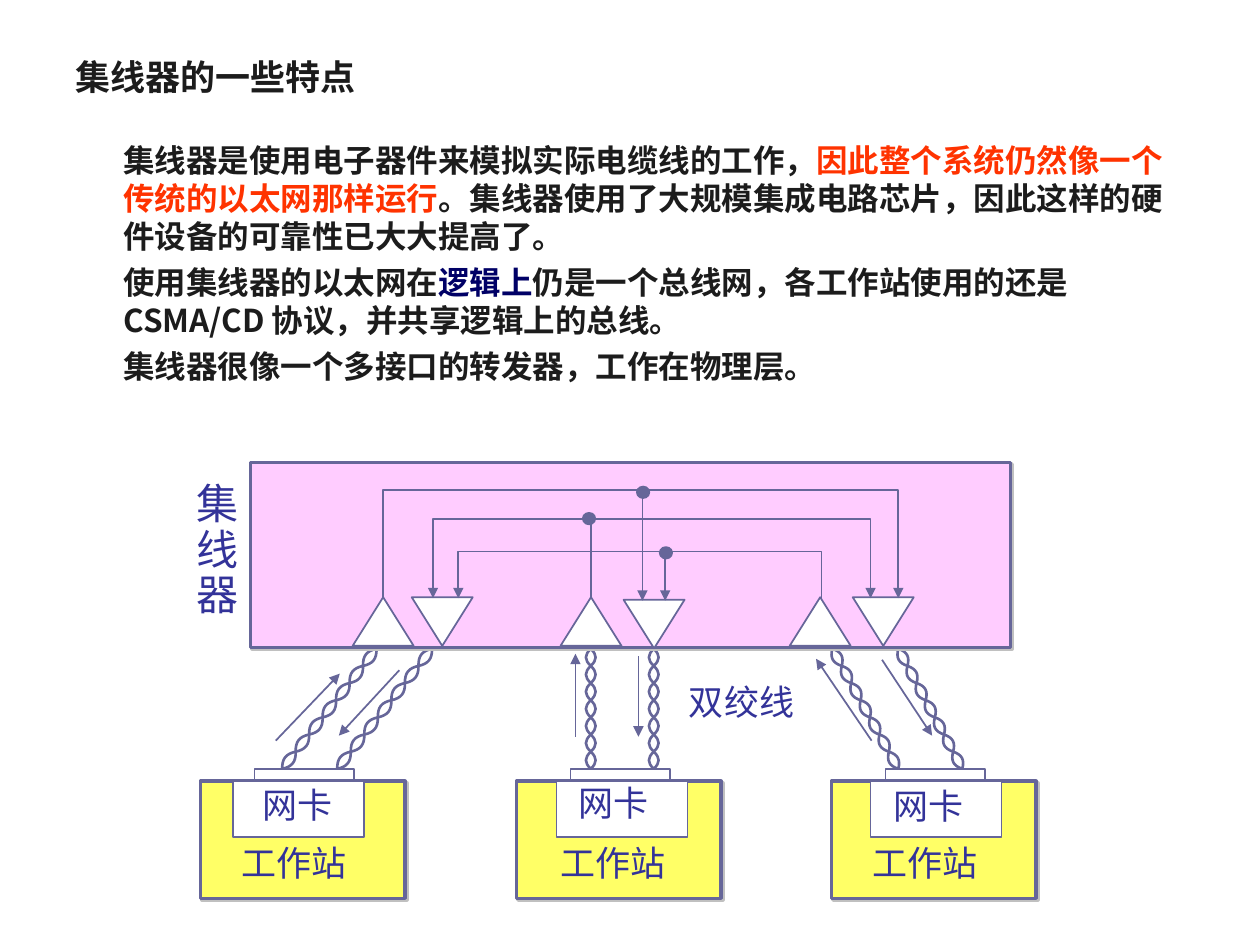
from math import hypot

from lxml import etree
from pptx import Presentation
from pptx.dml.color import RGBColor
from pptx.enum.shapes import MSO_CONNECTOR, MSO_SHAPE
from pptx.enum.text import MSO_ANCHOR
from pptx.oxml.ns import qn
from pptx.util import Cm, Pt

INK, LINE, LABEL, WHITE = "1C1C1C", "666699", "333399", "FFFFFF"
BODY = [
    [("集线器是使用电子器件来模拟实际电缆线的工作，", INK),
     ("因此整个系统仍然像一个传统的以太网那样运行", "FF3300"),
     ("。集线器使用了大规模集成电路芯片，因此这样的硬件设备的可靠性已大大提高了。", INK)],
    [("使用集线器的以太网在", INK), ("逻辑上", "000066"),
     ("仍是一个总线网，各工作站使用的还是 CSMA/CD 协议，并共享逻辑上的总线。", INK)],
    [("集线器很像一个多接口的转发器，工作在物理层。", INK)],
]
HEAVY = {"name": "Noto Sans CJK SC", "bold": True}


def rgb(value):
    return RGBColor.from_string(value)


def add_text(s, x, y, w, h, paras, size, pitch=None, wrap=False, font=None, gap=0, indent=0):
    tb = s.shapes.add_textbox(Cm(x), Cm(y), Cm(w), Cm(h))
    tf = tb.text_frame
    tf.word_wrap = wrap
    for i, runs in enumerate(paras):
        p = tf.paragraphs[0] if i == 0 else tf.add_paragraph()
        if pitch:
            p.line_spacing = Pt(pitch)
        if i:
            p.space_before = Pt(gap)
        if indent:
            p._p.get_or_add_pPr().set("marL", str(Cm(indent)))
        for text, color in runs:
            r = p.add_run()
            r.text = text
            fmt = {"name": "Times New Roman", "size": Pt(size), **(font or {})}
            for key, value in fmt.items():
                setattr(r.font, key, value)
            r.font.color.rgb = rgb(color)
            if font:
                ea = etree.SubElement(r._r.get_or_add_rPr(), qn("a:ea"))
                ea.set("typeface", fmt["name"])
    return tf


def add_label(s, x, y, text, w=2.62):
    add_text(s, x, y, w, 1.09, [[(text, LABEL)]], 20, 26)


def style(sp, fill=None, width=1, shadow=False):
    sp.shadow.inherit = False
    if fill:
        sp.fill.solid()
        sp.fill.fore_color.rgb = rgb(fill)
    else:
        sp.fill.background()
    sp.line.color.rgb = rgb(LINE)
    sp.line.width = Pt(width)
    if shadow:
        effects = sp._element.spPr.find(qn("a:effectLst"))
        outer = etree.SubElement(effects, qn("a:outerShdw"), dist=str(Pt(1.4)),
                                 dir="2700000", algn="tl", rotWithShape="0")
        etree.SubElement(outer, qn("a:srgbClr"), val="C0C0C0")


def add_shape(s, kind, x, y, w, h, fill=WHITE, width=1, shadow=False):
    sp = s.shapes.add_shape(kind, Cm(x), Cm(y), Cm(w), Cm(h))
    style(sp, fill, width, shadow)
    return sp


def add_head(sp):
    etree.SubElement(sp.line._get_or_add_ln(), qn("a:tailEnd"), type="triangle")


def add_arrow(s, x1, y1, x2, y2):
    c = s.shapes.add_connector(MSO_CONNECTOR.STRAIGHT, Cm(x1), Cm(y1), Cm(x2), Cm(y2))
    c.line.color.rgb = rgb(LINE)
    c.line.width = Pt(1)
    add_head(c)
    etree.SubElement(c._element.spPr, qn("a:effectLst"))


def add_path(s, points, width=1):
    points = [(Cm(x), Cm(y)) for x, y in points]
    fb = s.shapes.build_freeform(*points[0])
    fb.add_line_segments(points[1:], close=False)
    sp = fb.convert_to_shape()
    style(sp, None, width)
    return sp


def add_curve(s, points, width):
    sp = add_path(s, points, width)
    segments = list(sp._element.iter(qn("a:lnTo")))
    for first, second, third in zip(segments[::3], segments[1::3], segments[2::3]):
        first.tag = qn("a:cubicBezTo")
        for segment in (second, third):
            first.append(segment[0])
            segment.getparent().remove(segment)


def twisted_pair(s, x1, y1, x2, y2, waves=7):
    dx, dy = x2 - x1, y2 - y1
    length = hypot(dx, dy)
    for side in (0.13, -0.13):
        points = [(x1, y1)]
        for i in range(waves):
            bulge = side * (-1) ** i / length
            for part, off in [(0.36, bulge), (0.64, bulge), (1, 0)]:
                t = (i + part) / waves
                points.append((x1 + dx * t + dy * off, y1 + dy * t - dx * off))
        add_curve(s, points, 1.5)


def cables(s, x, y, h):
    for bottom, top in [(0.64, 2.54), (1.75, 3.66), (6.86, 6.86),
                        (8.13, 8.13), (13.06, 11.73), (14.35, 13.06)]:
        twisted_pair(s, x + bottom, y + h, x + top, y + 0.03)
    for x1, y1, x2, y2 in [(0.51, 1.88, 1.8, 0.53), (3, 0.46, 1.78, 1.78),
                           (6.55, 1.8, 6.55, 0.13), (7.82, 0.18, 7.82, 1.8),
                           (12.52, 1.88, 11.4, 0.23), (12.73, 0.25, 13.74, 1.78)]:
        add_arrow(s, x + x1, y + y1, x + x2, y + y2)
    add_label(s, x + 8.59, y + 0.48, "双绞线")


def hub(s, x, y, w, h):
    add_shape(s, MSO_SHAPE.RECTANGLE, x, y, w, h, "FFCCFF", 2, True)
    for up, down, drop in [(2.06, 3.25, 0), (6.25, 7.52, 0.05), (10.87, 12.14, 0)]:
        add_shape(s, MSO_SHAPE.ISOSCELES_TRIANGLE, x + up, y + 2.72, 1.23, 0.98)
        receiver = add_shape(s, MSO_SHAPE.ISOSCELES_TRIANGLE,
                             x + down, y + 2.72 + drop, 1.23, 0.98)
        receiver.rotation = 180
    for start, bus, end in [(11.51, 1.8, 4.19), (6.86, 1.14, 12.5), (2.67, 0.56, 13.06)]:
        add_head(add_path(s, [(x + start, y + 2.74), (x + start, y + bus),
                              (x + end, y + bus), (x + end, y + 2.74)]))
    add_head(add_path(s, [(x + 6.86, y + 1.14), (x + 3.68, y + 1.14), (x + 3.68, y + 2.74)]))
    for tap, bus in [(8.36, 1.82), (7.9, 0.6)]:
        add_arrow(s, x + tap, y + bus, x + tap, y + 2.79)
    for cx, cy in [(6.83, 1.13), (7.92, 0.6), (8.38, 1.82)]:
        add_shape(s, MSO_SHAPE.OVAL, x + cx - 0.13, y + cy - 0.11, 0.25, 0.23, LINE)
    add_text(s, x - 1.34, y + 0.28, 1.35, 3, [[(c, LABEL)] for c in "集线器"], 24, 26)


def station(s, x, y, w, h, card, card_text, name):
    add_shape(s, MSO_SHAPE.RECTANGLE, x, y, w, h, "FFFF66", 2, True)
    add_shape(s, MSO_SHAPE.RECTANGLE, x + card, y, 2.64, 1.12)
    add_shape(s, MSO_SHAPE.RECTANGLE, x + 1.09, y - 0.25, 2.01, 0.23)
    add_label(s, x + 1, y + card_text, "网卡", 1.93)
    add_label(s, x + name, y + 1.02, "工作站")


def heading(s, x, y, w, h):
    tf = add_text(s, x, y, w, h, [[("集线器的一些特点", INK)]], 20, wrap=True, font=HEAVY)
    tf.vertical_anchor = MSO_ANCHOR.MIDDLE


def main():
    prs = Presentation()
    prs.slide_width, prs.slide_height = Cm(25.4), Cm(19.05)
    s = prs.slides.add_slide(prs.slide_layouts[6])
    heading(s, 1.27, 0.76, 22.86, 1.55)
    add_text(s, 1.27, 2.72, 22.61, 11.99, BODY, 18, 21.7, True, HEAVY, 4.5, 0.97)
    cables(s, 5.05, 13.05, 2.45)
    hub(s, 5.05, 9.32, 15.32, 3.73)
    for x, card, card_text, name in [(4.04, 0.66, -0.15, 0.58), (10.41, 0.81, -0.2, 0.64),
                                     (16.76, 0.79, -0.13, 0.58)]:
        station(s, x, 15.75, 4.13, 2.36, card, card_text, name)
    prs.save("out.pptx")


if __name__ == "__main__":
    main()
